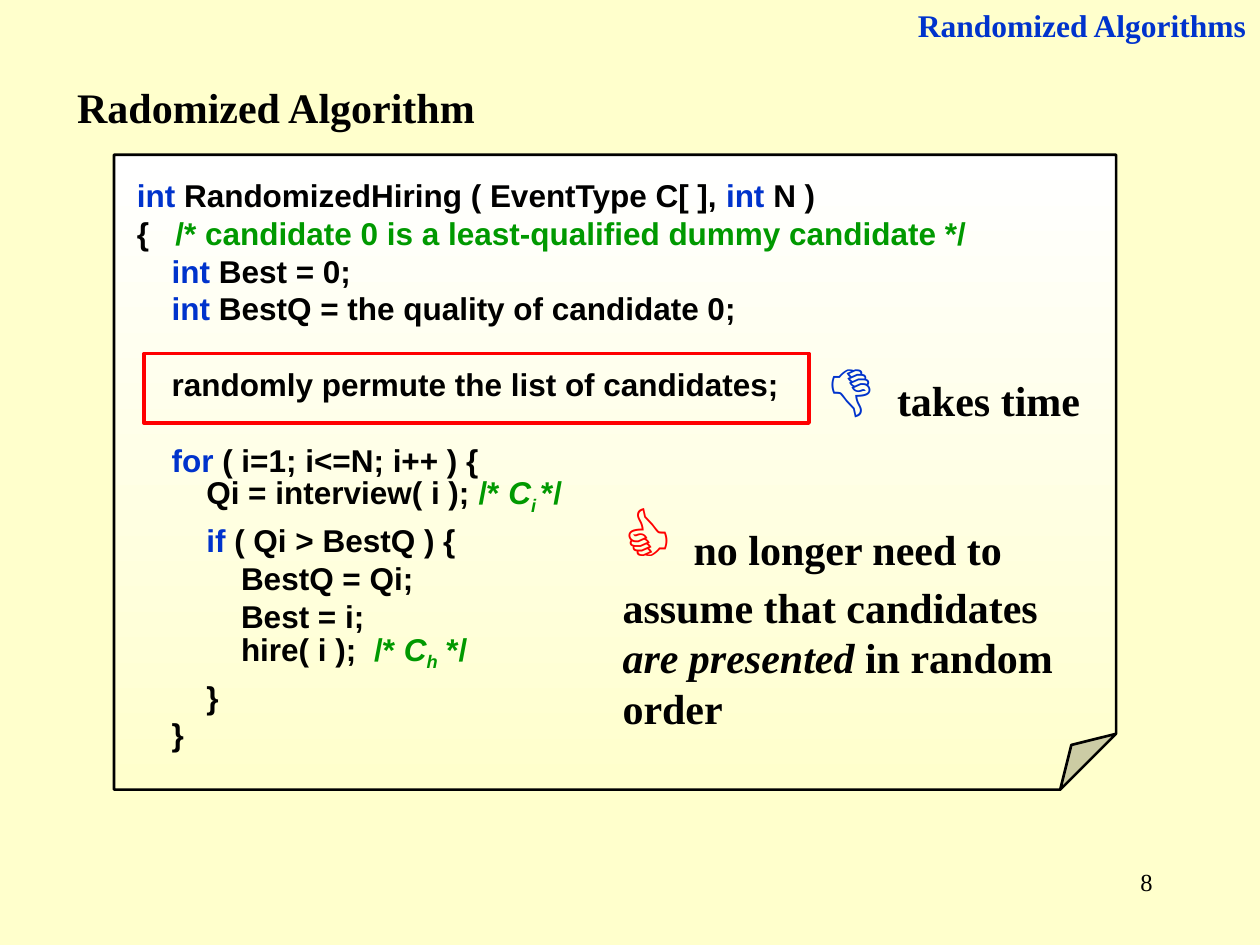
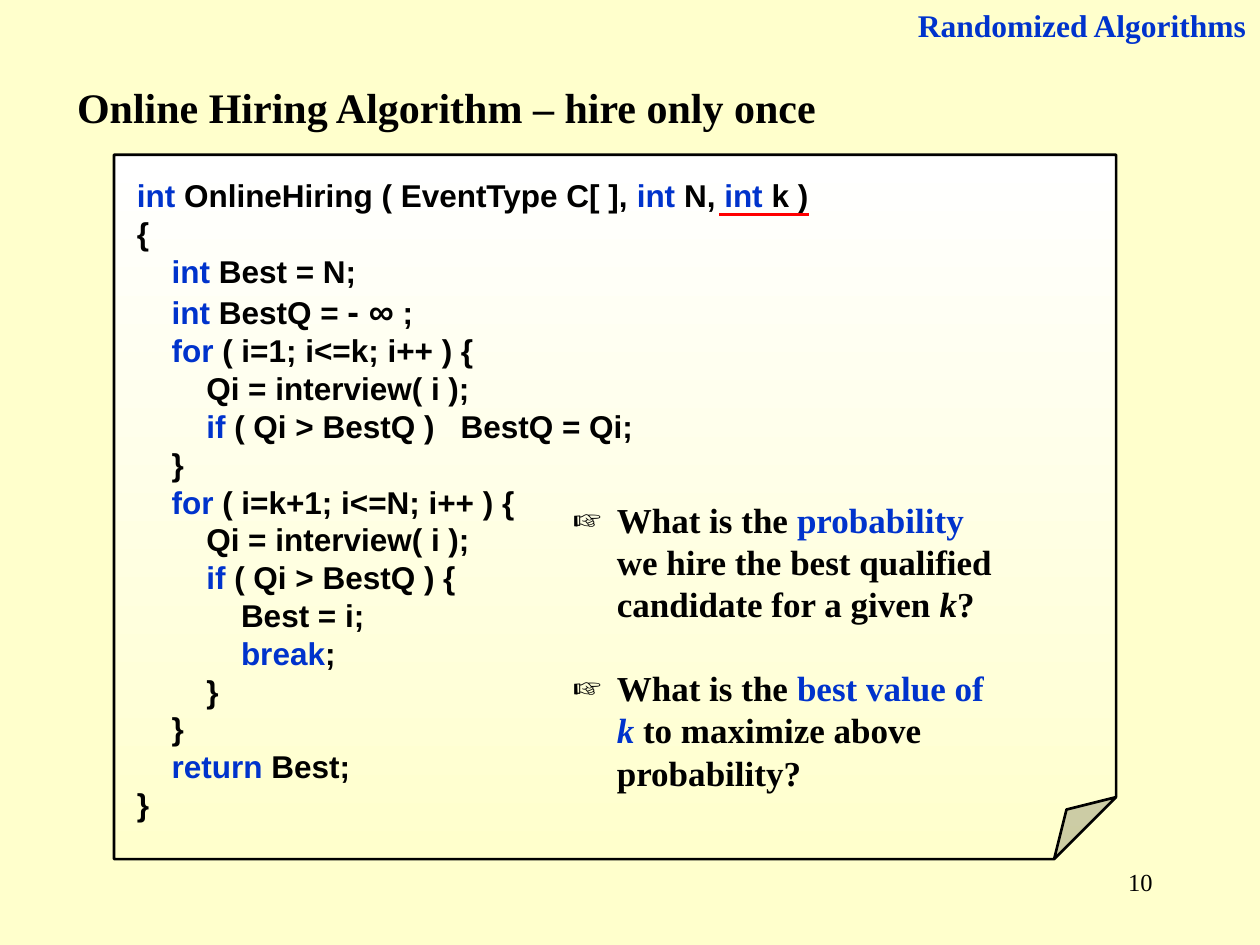
from lxml.etree import SubElement
from pptx import Presentation
from pptx.dml.color import RGBColor
from pptx.enum.shapes import MSO_CONNECTOR, MSO_SHAPE
from pptx.enum.text import MSO_ANCHOR, MSO_AUTO_SIZE, PP_ALIGN
from pptx.oxml.ns import qn
from pptx.util import Cm, Pt

COLORS = {
    "paper": "FFFFCC",
    "white": "FFFFFF",
    "ink": "000000",
    "blue": "0033CC",
    "green": "009900",
    "red": "FF0000",
}
SERIF, SANS = "Times New Roman", "Arial"
LEADING = 1.2
STYLES = {
    "key": {"color": "blue"},
    "note": {"color": "green"},
    "cost": {"color": "green", "italic": True},
    "sub": {"color": "green", "italic": True, "baseline": -25000},
    "em": {"italic": True},
    "keyem": {"color": "blue", "italic": True},
    "large": {"size": 20},
    "good": {"color": "red", "size": 44},
    "bad": {"color": "blue", "size": 44},
}

HIRING = [
    (0, 0, [("int", "key"), " RandomizedHiring ( EventType C[ ], ", ("int", "key"), " N )"]),
    (0, 0, ["{   ", ("/* candidate 0 is a least-qualified dummy candidate */", "note")]),
    (1, 0, [("int", "key"), " Best = 0;"]),
    (1, 0, [("int", "key"), " BestQ = the quality of candidate 0;"]),
    (1, 21.6, ["randomly permute the list of candidates;"]),
    (1, 21.6, [("for", "key"), " ( i=1; i<=N; i++ ) {"]),
    (2, 0, ["Qi = interview( i ); ", ("/* ", "note"), ("C", "cost"), ("i ", "sub"), ("*/", "note")]),
    (2, 2.9, [("if", "key"), " ( Qi > BestQ ) {"]),
    (3, 0, ["BestQ = Qi;"]),
    (3, 0, ["Best = i;"]),
    (3, 0, ["hire( i );  ", ("/* ", "note"), ("C", "cost"), ("h", "sub"), (" */", "note")]),
    (2, 2.9, ["}"]),
    (1, 0, ["}"]),
]
ONLINE = [
    (0, 0, [("int", "key"), " OnlineHiring ( EventType C[ ], ", ("int", "key"), " N, ",
            ("int", "key"), " k )"]),
    (0, 0, ["{"]),
    (1, 0, [("int", "key"), " Best = N;"]),
    (1, 2.4, [("int", "key"), " BestQ = ", ("- ∞", "large"), " ;"]),
    (1, 0, [("for", "key"), " ( i=1; i<=k; i++ ) {"]),
    (2, 0, ["Qi = interview( i );"]),
    (2, 0, [("if", "key"), " ( Qi > BestQ )   BestQ = Qi;"]),
    (1, 0, ["}"]),
    (1, 0, [("for", "key"), " ( i=k+1; i<=N; i++ ) {"]),
    (2, 0, ["Qi = interview( i );"]),
    (2, 0, [("if", "key"), " ( Qi > BestQ ) {"]),
    (3, 0, ["Best = i;"]),
    (3, 0, [("break", "key"), ";"]),
    (2, 0, ["}"]),
    (1, 0, ["}"]),
    (1, 0, [("return", "key"), " Best;"]),
    (0, 0, ["}"]),
]
QUESTIONS = [
    [["What is the ", ("probability", "key")],
     ["we hire the best qualified"],
     ["candidate for a given ", ("k", "em"), "?"]],
    [["What is the ", ("best value of", "key")],
     [("k", "keyem"), " to maximize above"],
     ["probability?"]],
]


def rgb(name):
    return RGBColor.from_string(COLORS[name])


def add_runs(p, runs, size, font=SERIF, bold=True, color="ink"):
    for item in runs:
        text, name = (item, None) if isinstance(item, str) else item
        style = STYLES.get(name, {})
        r = p.add_run()
        r.text = text
        r.font.name = font
        r.font.size = Pt(style.get("size", size))
        r.font.bold = bold
        r.font.italic = style.get("italic", False)
        r.font.color.rgb = rgb(style.get("color", color))
        if "baseline" in style:
            r._r.get_or_add_rPr().set("baseline", str(style["baseline"]))


def place(sp, left, top, width, height):
    sp.left, sp.top, sp.width, sp.height = Cm(left), Cm(top), Cm(width), Cm(height)
    tf = sp.text_frame
    tf.word_wrap = True
    tf.auto_size = MSO_AUTO_SIZE.NONE
    tf.vertical_anchor = MSO_ANCHOR.TOP
    return tf


def add_text(s, box, runs, size, align=PP_ALIGN.LEFT, **style):
    tf = place(s.shapes.add_textbox(0, 0, 0, 0), *box)
    p = tf.paragraphs[0]
    p.alignment = align
    add_runs(p, runs, size, **style)


def set_title(s, text):
    p = place(s.shapes.title, 1.3, 1.52, 20, 1.27).paragraphs[0]
    p.alignment = PP_ALIGN.LEFT
    add_runs(p, [text], 24)


def next_paragraph(tf, index):
    return tf.add_paragraph() if index else tf.paragraphs[0]


def add_code_page(s, height, lines):
    sp = s.shapes.add_shape(MSO_SHAPE.FOLDED_CORNER, 0, 0, 0, 0)
    guides = sp._element.spPr.find(qn("a:prstGeom")).get_or_add_avLst()
    SubElement(guides, qn("a:gd"), name="adj", fmla="val 8800")
    sp.shadow.inherit = False
    sp.fill.gradient()
    sp.fill.gradient_angle = 270
    for stop, name in zip(sp.fill.gradient_stops, ("white", "paper")):
        stop.color.rgb = rgb(name)
    sp.line.color.rgb = rgb("ink")
    sp.line.width = Pt(1.5)
    tf = place(sp, 2.3, 3.12, 20.2, height)
    tf.margin_left, tf.margin_top = Cm(0.46), Cm(0.43)
    for i, (level, gap, runs) in enumerate(lines):
        p = next_paragraph(tf, i)
        p.alignment = PP_ALIGN.LEFT
        p.line_spacing = Pt(18 * LEADING)
        p.space_before = Pt(gap)
        p._p.get_or_add_pPr().set("marL", str(Cm(0.7 * level)))
        add_runs(p, runs, 18, SANS)


def add_frame(s, left, top, width, height):
    sp = s.shapes.add_shape(MSO_SHAPE.RECTANGLE, Cm(left), Cm(top), Cm(width), Cm(height))
    sp.shadow.inherit = False
    sp.fill.background()
    sp.line.color.rgb = rgb("red")
    sp.line.width = Pt(2)


def add_underline(s, left, right, y):
    cx = s.shapes.add_connector(MSO_CONNECTOR.STRAIGHT, Cm(left), Cm(y), Cm(right), Cm(y))
    cx.line.color.rgb = rgb("red")
    cx.line.width = Pt(2)
    SubElement(cx._element.spPr, qn("a:effectLst"))


def fill_questions(s, box, questions):
    body = s.placeholders[1]
    s.shapes._spTree.append(body._element)
    tf = place(body, *box)
    for i, lines in enumerate(questions):
        p = next_paragraph(tf, i)
        p.line_spacing = Pt(20 * LEADING)
        p.space_before = Pt(20 * LEADING if i else 0)
        pPr = p._p.get_or_add_pPr()
        pPr.set("marL", str(Cm(0.88)))
        pPr.set("indent", str(-Cm(0.88)))
        SubElement(pPr, qn("a:buFont"), typeface=SERIF)
        SubElement(pPr, qn("a:buChar"), char="☞")
        for j, runs in enumerate(lines):
            if j:
                p.add_line_break()
            add_runs(p, runs, 20)


def new_slide(prs, layout, title, number):
    s = prs.slides.add_slide(prs.slide_layouts[layout])
    set_title(s, title)
    add_text(s, (17.5, 0, 7.87, 1.02), ["Randomized Algorithms"], 18, PP_ALIGN.RIGHT, color="blue")
    add_text(s, (18.21, 17.35, 5.28, 1.27), [str(number)], 14, PP_ALIGN.RIGHT, bold=False)
    return s


def main():
    prs = Presentation()
    prs.slide_width, prs.slide_height = Cm(25.4), Cm(19.05)
    fill = prs.slide_master.background.fill
    fill.solid()
    fill.fore_color.rgb = rgb("paper")

    s = new_slide(prs, 5, "Radomized Algorithm", 8)
    add_code_page(s, 12.8, HIRING)
    add_frame(s, 2.9, 7.13, 13.41, 1.4)
    add_text(s, (12.3, 9.73, 10, 5.16),
             [("👍 ", "good"), "no longer need to assume that candidates ",
              ("are presented", "em"), " in random order"], 24)
    add_text(s, (16.4, 6.73, 6.7, 2.1), [("👎 ", "bad"), "takes time"], 24)

    s = new_slide(prs, 1, "Online Hiring Algorithm – hire only once", 10)
    add_code_page(s, 14.2, ONLINE)
    add_underline(s, 14.5, 16.3, 4.32)
    fill_questions(s, (11.3, 9.93, 9.4, 6.17), QUESTIONS)

    prs.save("out.pptx")


if __name__ == "__main__":
    main()
